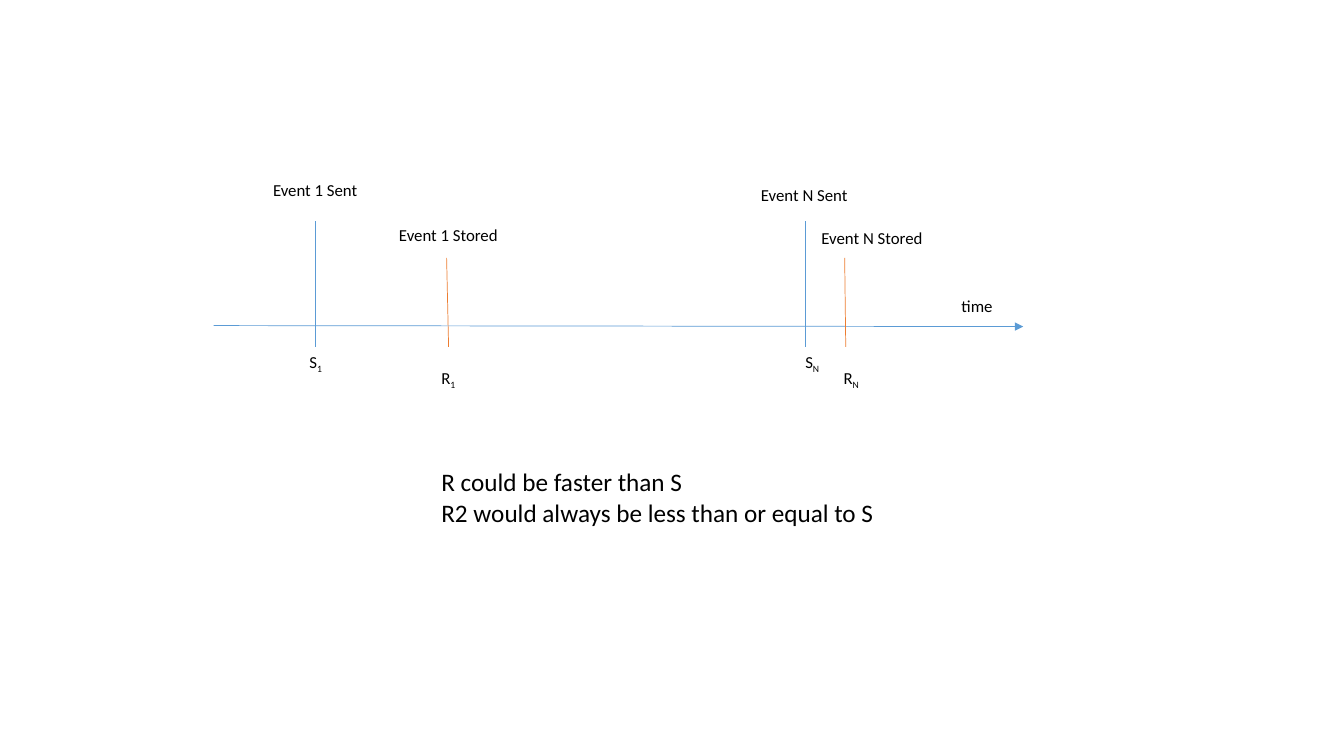
"""Builds a slide with a timeline of events sent and stored."""
from dataclasses import dataclass

from lxml.etree import SubElement
from pptx import Presentation
from pptx.dml.color import RGBColor as RGB
from pptx.enum.shapes import MSO_CONNECTOR as CONN
from pptx.enum.text import MSO_AUTO_SIZE as AUTO
from pptx.oxml.ns import qn
from pptx.util import Inches, Pt

WIDTH, HEIGHT = Inches(13.33), Inches(7.5)


@dataclass(frozen=True)
class Theme:
    """Holds the colours, font and sizes of the slide."""
    sent: RGB = RGB(0x5B, 0x9B, 0xD5)
    stored: RGB = RGB(0xED, 0x7D, 0x31)
    text: RGB = RGB(0, 0, 0)
    font: str = "Calibri"
    label: Pt = Pt(12)
    note: Pt = Pt(18)
    line: Pt = Pt(0.5)


THEME = Theme()
MARK_FOOT = 45.87
LABEL_HEIGHT = 4


def across(share):
    """Turns a percentage of the slide's width into a length."""
    return int(WIDTH * share / 100)


def down(share):
    """Turns a percentage of the slide's height into a length."""
    return int(HEIGHT * share / 100)


def add_line(slide, start, end, color, arrow=False):
    """Draws a thin line between two points, with an optional arrowhead."""
    s = slide.shapes.add_connector(CONN.STRAIGHT, across(start[0]), down(start[1]),
                                   across(end[0]), down(end[1]))
    s.line.color.rgb = color
    s.line.width = THEME.line
    if arrow:
        SubElement(s.line._get_or_add_ln(), qn("a:tailEnd"), type="triangle")
    SubElement(s._element.spPr, qn("a:effectLst"))


def add_text(slide, left, top, width, text, size, height=LABEL_HEIGHT, sub=""):
    """Places unwrapped text, with an optional subscript at its end."""
    s = slide.shapes.add_textbox(across(left), down(top), across(width), down(height))
    tf = s.text_frame
    tf.text = text
    tf.word_wrap = False
    tf.auto_size = AUTO.SHAPE_TO_FIT_TEXT
    if sub:
        r = tf.paragraphs[0].add_run()
        r.text = sub
        r.font._element.set("baseline", "-25000")
    for p in tf.paragraphs:
        for r in p.runs:
            r.font.name = THEME.font
            r.font.size = size
            r.font.color.rgb = THEME.text


def add_event(slide, foot, head, color, label, symbol):
    """Draws the mark of one event, its label above and its symbol below."""
    add_line(slide, (foot, MARK_FOOT), head, color)
    add_text(slide, *label, THEME.label)
    left, top, width, letter, index = symbol
    add_text(slide, left, top, width, letter, THEME.label, sub=index)


def main():
    """Builds and saves the slide."""
    prs = Presentation()
    prs.slide_width, prs.slide_height = WIDTH, HEIGHT
    slide = prs.slides.add_slide(prs.slide_layouts[6])

    add_line(slide, (15.9, 43.07), (76.13, 43.2), THEME.sent, arrow=True)
    add_text(slide, 70.8, 38.53, 3.9, "time", THEME.label)

    events = [
        (23.48, (23.48, 29.2), THEME.sent,
         (19.58, 23.07, 7.88, "Event 1 Sent"), (22.28, 45.87, 2.55, "S", "1")),
        (59.93, (59.93, 29.2), THEME.sent,
         (55.88, 23.73, 8.03, "Event N Sent"), (59.18, 45.87, 2.63, "S", "N")),
        (33.38, (33.23, 34.13), THEME.stored,
         (28.95, 29.07, 8.93, "Event 1 Stored"), (32.1, 48, 2.63, "R", "1")),
        (62.93, (62.85, 34.13), THEME.stored,
         (60.38, 29.47, 9.08, "Event N Stored"), (62.03, 48, 2.7, "R", "N")),
    ]
    for event in events:
        add_event(slide, *event)

    add_text(slide, 32.1, 61.07, 34.05,
             "R could be faster than S\nR2 would always be less than or equal to S",
             THEME.note, height=9.47)
    prs.save("out.pptx")


if __name__ == "__main__":
    main()
